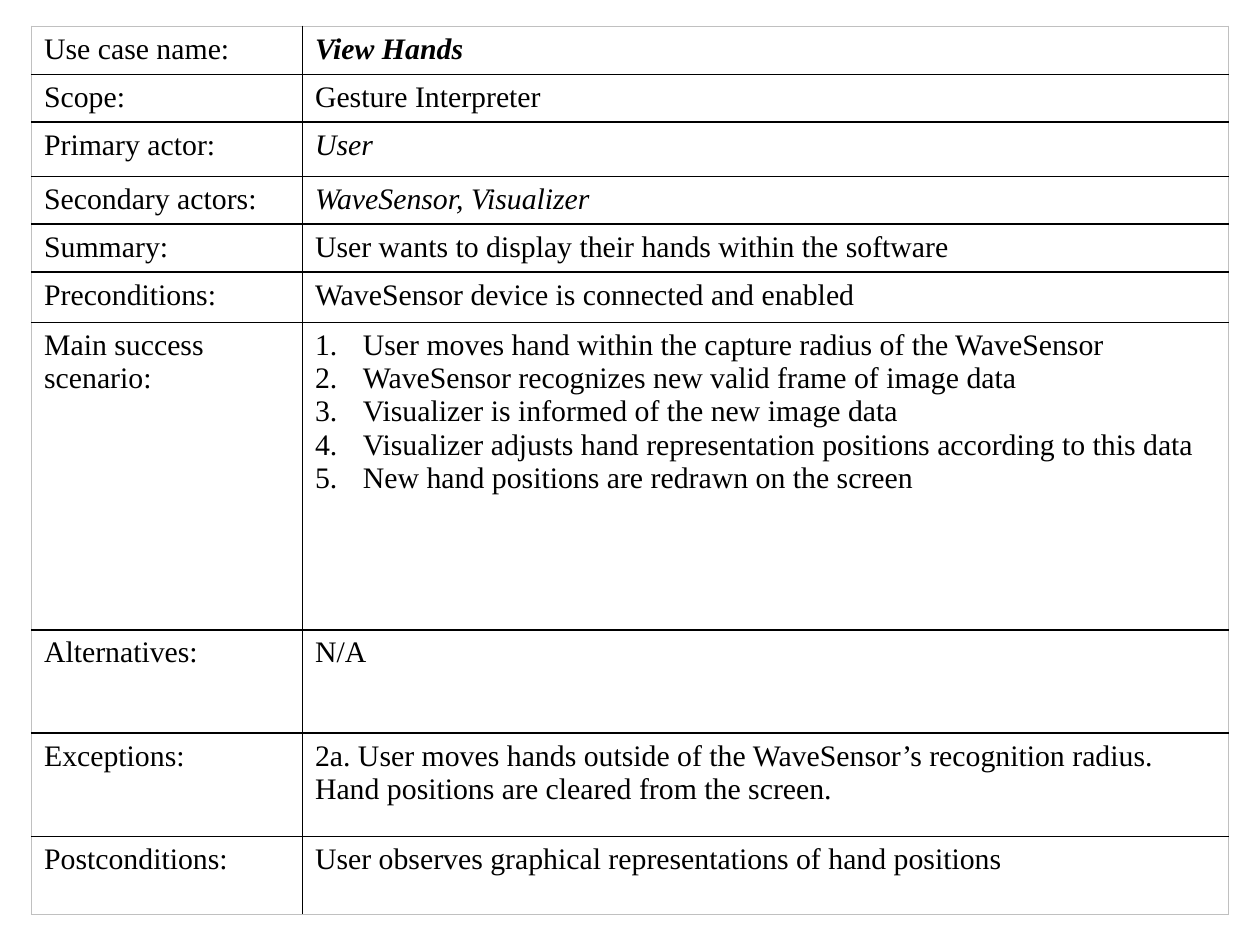
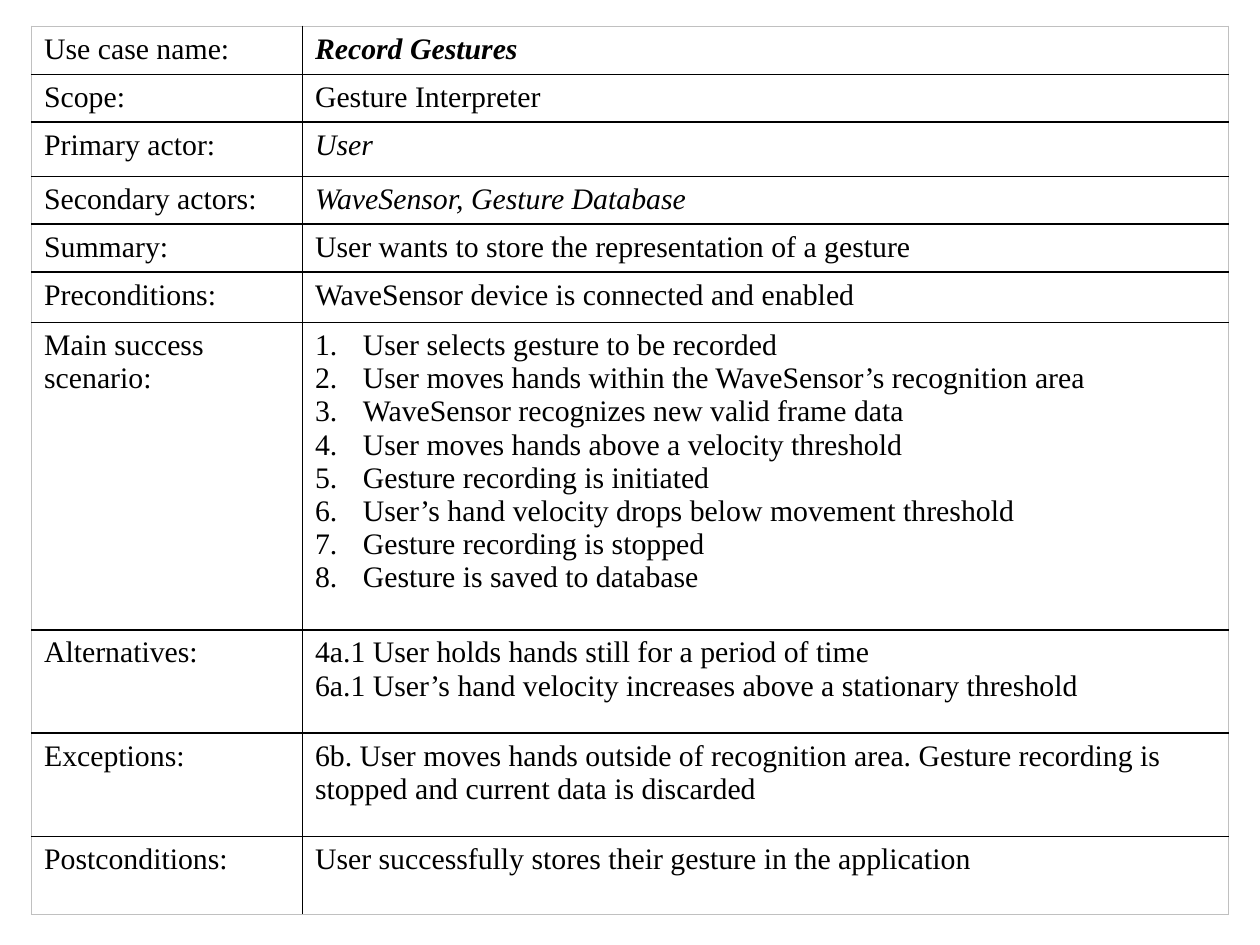
"""Build two use case description slides, each one a bordered table."""
import lxml.etree
import pptx
import pptx.dml.color
import pptx.oxml.ns
import pptx.util

LABELS = ["Use case name:", "Scope:", "Primary actor:", "Secondary actors:", "Summary:",
          "Preconditions:", "Main success scenario:", "Alternatives:", "Exceptions:",
          "Postconditions:"]

USE_CASES = [
    [
        ["View Hands"],
        ["Gesture Interpreter"],
        ["User"],
        ["WaveSensor, Visualizer"],
        ["User wants to display their hands within the software"],
        ["WaveSensor device is connected and enabled"],
        ["User moves hand within the capture radius of the WaveSensor",
         "WaveSensor recognizes new valid frame of image data",
         "Visualizer is informed of the new image data",
         "Visualizer adjusts hand representation positions according to this data",
         "New hand positions are redrawn on the screen"],
        ["N/A"],
        ["2a. User moves hands outside of the WaveSensor’s recognition radius. "
         "Hand positions are cleared from the screen."],
        ["User observes graphical representations of hand positions"],
    ],
    [
        ["Record Gestures"],
        ["Gesture Interpreter"],
        ["User"],
        ["WaveSensor, Gesture Database"],
        ["User wants to store the representation of a gesture"],
        ["WaveSensor device is connected and enabled"],
        ["User selects gesture to be recorded",
         "User moves hands within the WaveSensor’s recognition area",
         "WaveSensor recognizes new valid frame data",
         "User moves hands above a velocity threshold",
         "Gesture recording is initiated",
         "User’s hand velocity drops below movement threshold",
         "Gesture recording is stopped",
         "Gesture is saved to database"],
        ["4a.1 User holds hands still for a period of time",
         "6a.1 User’s hand velocity increases above a stationary threshold"],
        ["6b. User moves hands outside of recognition area. "
         "Gesture recording is stopped and current data is discarded"],
        ["User successfully stores their gesture in the application"],
    ],
]

THEME = {
    "text": {"name": "Times New Roman", "size": pptx.util.Pt(17)},
    "ink": "000000",
    "frame": "C0C0C0",
    "border": pptx.util.Pt(1),
}
VALUE_FORMATS = {
    "Use case name:": {"bold": True, "italic": True},
    "Primary actor:": {"italic": True},
    "Secondary actors:": {"italic": True},
}
NUMBERED = "Main success scenario:"
LEFT, TOP = 0.25, 0.21
COLS = [2.15, 7.35]
ROWS = [0.38, 0.38, 0.43, 0.38, 0.38, 0.4, 2.44, 0.82, 0.82, 0.62]
INDENT = pptx.util.Inches(0.38)


def add_xml(parent, tag, **attrs):
    el = lxml.etree.SubElement(parent, pptx.oxml.ns.qn(tag))
    for key, value in attrs.items():
        el.set(key, str(value))
    return el


def number_paragraph(p):
    pPr = p._p.get_or_add_pPr()
    pPr.set("marL", str(INDENT))
    pPr.set("indent", str(-INDENT))
    add_xml(pPr, "a:buFont", typeface="+mj-lt")
    add_xml(pPr, "a:buAutoNum", type="arabicPeriod")


def set_borders(cell, row, col):
    outer = {"L": col == 0, "R": col == len(COLS) - 1,
             "T": row == 0, "B": row == len(ROWS) - 1}
    tcPr = cell._tc.get_or_add_tcPr()
    for i, (side, is_outer) in enumerate(outer.items()):
        ln = add_xml(tcPr, f"a:ln{side}", w=THEME["border"])
        add_xml(add_xml(ln, "a:solidFill"), "a:srgbClr",
                val=THEME["frame" if is_outer else "ink"])
        tcPr.insert(i, ln)


def fill_cell(cell, lines, formats, numbered=False):
    tf = cell.text_frame
    for i, line in enumerate(lines):
        p = tf.add_paragraph() if i else tf.paragraphs[0]
        if numbered:
            number_paragraph(p)
        r = p.add_run()
        r.text = line
        for key, value in (THEME["text"] | formats).items():
            setattr(r.font, key, value)
        r.font.color.rgb = pptx.dml.color.RGBColor.from_string(THEME["ink"])


def add_use_case(prs, values):
    s = prs.slides.add_slide(prs.slide_layouts[6])
    box = [pptx.util.Inches(v) for v in (LEFT, TOP, sum(COLS), sum(ROWS))]
    table = s.shapes.add_table(len(ROWS), len(COLS), *box).table
    table.first_row = table.horz_banding = False
    for column, width in zip(table.columns, COLS):
        column.width = pptx.util.Inches(width)
    for row, height in zip(table.rows, ROWS):
        row.height = pptx.util.Inches(height)
    for i, (label, lines) in enumerate(zip(LABELS, values)):
        fill_cell(table.cell(i, 0), [label], {})
        fill_cell(table.cell(i, 1), lines, VALUE_FORMATS.get(label, {}), label == NUMBERED)
        for j in range(len(COLS)):
            table.cell(i, j).fill.background()
            set_borders(table.cell(i, j), i, j)


def main():
    prs = pptx.Presentation()
    prs.slide_width, prs.slide_height = pptx.util.Inches(10), pptx.util.Inches(7.5)
    for values in USE_CASES:
        add_use_case(prs, values)
    prs.save("out.pptx")


if __name__ == "__main__":
    main()
